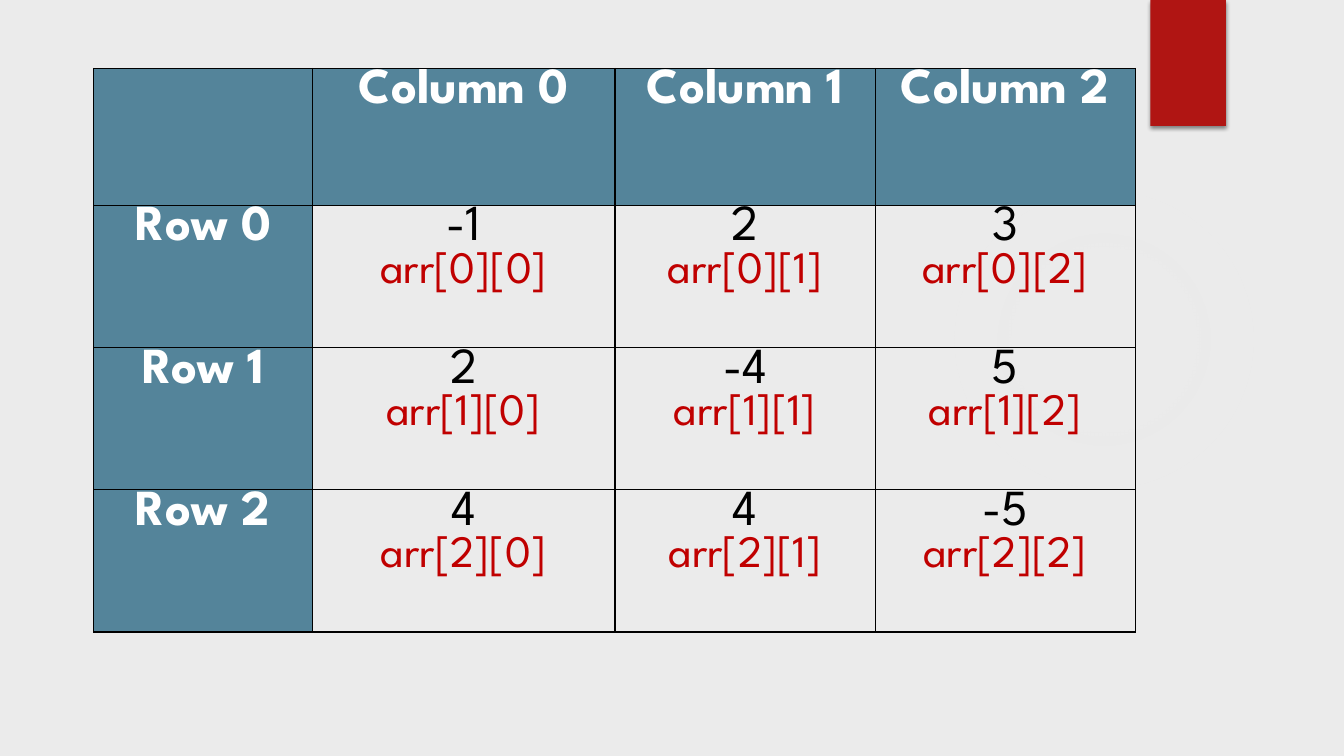
from dataclasses import dataclass

from lxml import etree
from pptx import Presentation
from pptx import util as u
from pptx.dml.color import RGBColor
from pptx.enum import shapes, text
from pptx.oxml import ns, parse_xml

FONT = "League Spartan"
GREY = RGBColor(0xEB, 0xEB, 0xEB)
GLOW = RGBColor(0xF3, 0xF3, 0xF3)
RED = RGBColor(0xB0, 0x15, 0x13)
TEAL = RGBColor(0x54, 0x84, 0x9A)
CRIMSON = RGBColor(0xC0, 0x00, 0x00)
WHITE = RGBColor(0xFF, 0xFF, 0xFF)
BLACK = RGBColor(0x00, 0x00, 0x00)

VALUES = [[-1, 2, 3], [2, -4, 5], [4, 4, -5]]
WIDTHS = [2.17, 3, 2.58, 2.58]
HEIGHTS = [1.36, 1.41, 1.41, 1.41]


@dataclass
class Line:
    words: str
    size: int
    color: RGBColor
    bold: bool = False


@dataclass
class Shape:
    kind: shapes.MSO_SHAPE
    left: float
    top: float
    width: float
    height: float


def add_shape(slide, item: Shape):
    shape = slide.shapes.add_shape(
        item.kind, u.Inches(item.left), u.Inches(item.top),
        u.Inches(item.width), u.Inches(item.height))
    shape.shadow.inherit = False
    shape.line.fill.background()
    return shape


def add_glow(shape) -> None:
    stops = "".join(
        f'<a:gs pos="{pos * 1000}"><a:srgbClr val="{GLOW}">'
        f'<a:alpha val="{alpha * 1000}"/></a:srgbClr></a:gs>'
        for pos, alpha in [(0, 7), (36, 6), (69, 0)])
    grad = parse_xml(
        f'<a:gradFill {ns.nsdecls("a")}><a:gsLst>{stops}</a:gsLst>'
        '<a:path path="circle"><a:fillToRect l="50000" t="50000" '
        'r="50000" b="50000"/></a:path></a:gradFill>')
    shape._element.spPr.insert(2, grad)


def add_shadow(shape) -> None:
    effects = shape._element.spPr.find(ns.qn("a:effectLst"))
    effects.append(parse_xml(
        f'<a:outerShdw {ns.nsdecls("a")} blurRad="{u.Pt(3)}" dist="{u.Pt(2)}" '
        f'dir="5400000" rotWithShape="0"><a:srgbClr val="{BLACK}">'
        '<a:alpha val="45000"/></a:srgbClr></a:outerShdw>'))


def add_border(cell) -> None:
    props = cell._tc.get_or_add_tcPr()
    for side in "LRTB":
        line = etree.SubElement(props, ns.qn(f"a:ln{side}"), w=str(u.Pt(1)))
        fill = etree.SubElement(line, ns.qn("a:solidFill"))
        etree.SubElement(fill, ns.qn("a:srgbClr"), val=str(BLACK))


def fill_cell(cell, lines: list[Line], head: bool) -> None:
    cell.margin_left = cell.margin_right = 0
    cell.margin_top = cell.margin_bottom = 0
    add_border(cell)
    if head:
        cell.fill.solid()
        cell.fill.fore_color.rgb = TEAL
    else:
        cell.fill.background()
    frame = cell.text_frame
    for i, line in enumerate(lines):
        para = frame.add_paragraph() if i else frame.paragraphs[0]
        para.alignment = text.PP_ALIGN.CENTER
        run = para.add_run()
        run.text = line.words
        run.font.name = FONT
        run.font.size = u.Pt(line.size)
        run.font.bold = line.bold
        run.font.color.rgb = line.color


def cell_lines(row: int, col: int) -> list[Line]:
    if row and col:
        return [Line(str(VALUES[row - 1][col - 1]), 36, BLACK),
                Line(f"arr[{row - 1}][{col - 1}]", 32, CRIMSON)]
    if row:
        return [Line(f"Row {row - 1}", 36, WHITE, True)]
    if col:
        return [Line(f"Column {col - 1}", 36, WHITE, True)]
    return []


def add_grid(slide) -> None:
    grid = slide.shapes.add_table(
        len(HEIGHTS), len(WIDTHS), u.Inches(0.93), u.Inches(0.68),
        u.Inches(sum(WIDTHS)), u.Inches(sum(HEIGHTS))).table
    grid.first_row = grid.horz_banding = False
    for col, width in enumerate(WIDTHS):
        grid.columns[col].width = u.Inches(width)
    for row, height in enumerate(HEIGHTS):
        grid.rows[row].height = u.Inches(height)
        for col in range(len(WIDTHS)):
            fill_cell(grid.cell(row, col), cell_lines(row, col),
                      row == 0 or col == 0)


def main() -> None:
    deck = Presentation()
    deck.slide_width, deck.slide_height = u.Inches(13.33), u.Inches(7.5)
    slide = deck.slides.add_slide(deck.slide_layouts[6])

    # Backdrop
    slide.background.fill.solid()
    slide.background.fill.fore_color.rgb = GREY
    add_glow(add_shape(slide, Shape(shapes.MSO_SHAPE.OVAL, 9.41, 1.83, 3.08, 3.08)))

    # Red tab
    tab = add_shape(slide, Shape(shapes.MSO_SHAPE.RECTANGLE, 11.41, 0, 0.75, 1.25))
    tab.fill.solid()
    tab.fill.fore_color.rgb = RED
    add_shadow(tab)

    # Array table
    add_grid(slide)
    deck.save("out.pptx")


if __name__ == "__main__":
    main()
